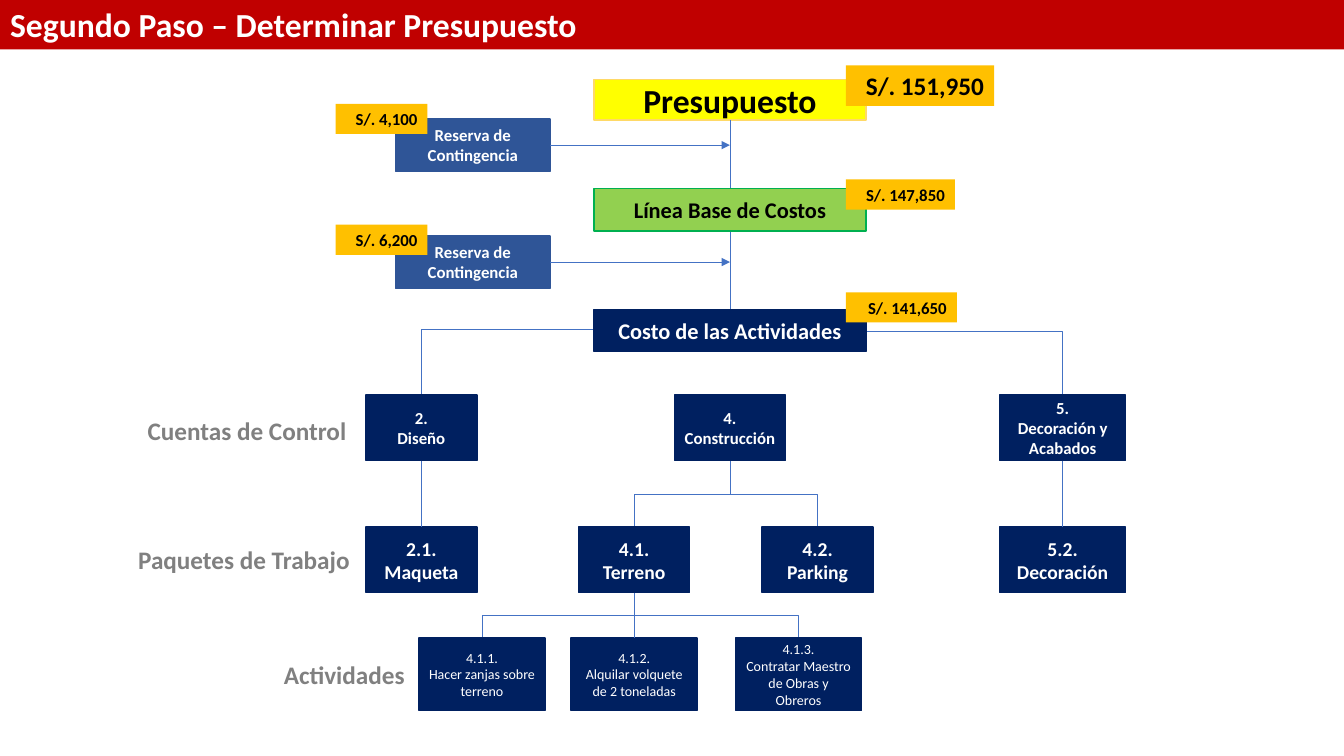
from lxml import etree
from pptx import Presentation
from pptx.dml.color import RGBColor
from pptx.enum.shapes import MSO_CONNECTOR, MSO_SHAPE
from pptx.enum.text import MSO_ANCHOR, MSO_AUTO_SIZE, PP_ALIGN
from pptx.oxml.ns import qn
from pptx.util import Inches, Pt

RECT = MSO_SHAPE.RECTANGLE
STRAIGHT, ELBOW = MSO_CONNECTOR.STRAIGHT, MSO_CONNECTOR.ELBOW
LEFT, CENTER, RIGHT = PP_ALIGN.LEFT, PP_ALIGN.CENTER, PP_ALIGN.RIGHT
TOP, MIDDLE = MSO_ANCHOR.TOP, MSO_ANCHOR.MIDDLE
SIDE_TOP, SIDE_BOTTOM, SIDE_RIGHT = 0, 2, 3

SLIDE_W, SLIDE_H = 13.33, 7.5
AXIS = 7.24  # centre of the budget column

THEME = {
    "font": "Calibri", "link": "4472C4", "title": "C00000", "tag": "FFC000",
    "label": "808080", "white": "FFFFFF", "black": "000000",
    "title_size": 24, "label_size": 18,
}
# style: fill, line, text colour, size, bold
STYLES = {
    "budget": ("FFFF00", "FFD966", "black", 24, True),
    "baseline": ("92D050", "00B050", "black", 16, True),
    "cost": ("002060", "002060", "white", 16, True),
    "reserve": ("2F5597", "2F5597", "white", 12, True),
    "account": ("002060", "002060", "white", 12, True),
    "package": ("002060", "002060", "white", 14, True),
    "activity": ("002060", "002060", "white", 10, False),
}
# style: top of the row, height
ROWS = {"account": (3.92, 0.65), "package": (5.23, 0.65), "activity": (6.33, 0.72)}

TITLE = "Segundo Paso – Determinar Presupuesto"
# key: text, style, centre x, width
TREE = {
    "2": ("2.\nDiseño", "account", 4.18, 1.1),
    "4": ("4.\nConstrucción", "account", AXIS, 1.1),
    "5": ("5.\nDecoración y Acabados", "account", 10.54, 1.25),
    "2.1": ("2.1.\nMaqueta", "package", 4.18, 1.1),
    "4.1": ("4.1.\nTerreno", "package", 6.29, 1.1),
    "4.2": ("4.2.\nParking", "package", 8.11, 1.1),
    "5.2": ("5.2.\nDecoración", "package", 10.54, 1.25),
    "4.1.1": ("4.1.1.\nHacer zanjas sobre terreno", "activity", 4.78, 1.25),
    "4.1.2": ("4.1.2.\nAlquilar volquete de 2 toneladas", "activity", 6.29, 1.25),
    "4.1.3": ("4.1.3.\nContratar Maestro de Obras y Obreros", "activity", 7.92, 1.25),
}
# key: text, style, centre x, top, width, height
TOTALS = {
    "budget": ("Presupuesto", "budget", AXIS, 0.79, 2.7, 0.4),
    "baseline": ("Línea Base de Costos", "baseline", AXIS, 1.87, 2.7, 0.42),
    "cost": ("Costo de las Actividades", "cost", AXIS, 3.07, 2.7, 0.42),
    "reserve 1": ("Reserva de Contingencia", "reserve", 4.69, 1.18, 1.53, 0.52),
    "reserve 2": ("Reserva de Contingencia", "reserve", 4.69, 2.34, 1.53, 0.52),
}
BOXES = {**TOTALS, **{key: (text, style, cx, ROWS[style][0], w, ROWS[style][1])
                      for key, (text, style, cx, w) in TREE.items()}}
# parent, child, share of the height where the elbow turns
ELBOWS = [("baseline", "2", 0.6), ("baseline", "5", 0.61),
          ("4", "4.1", 0.5), ("4", "4.2", 0.5),
          ("4.1", "4.1.1", 0.5), ("4.1", "4.1.3", 0.5)]
STEMS = [("budget", "baseline"), ("2", "2.1"), ("5", "5.2"), ("4.1", "4.1.2")]
RESERVES = ["reserve 1", "reserve 2"]
# amount, left, top, width, height, size
TAGS = [
    ("S/. 151,950", 8.39, 0.65, 1.47, 0.4, 18),
    ("S/. 147,850", 8.39, 1.78, 1.08, 0.3, 12),
    ("S/. 141,650", 8.39, 2.9, 1.1, 0.3, 12),
    ("S/. 4,100", 3.33, 1.03, 0.91, 0.3, 12),
    ("S/. 6,200", 3.33, 2.23, 0.91, 0.3, 12),
]
# text, left, top, width
LABELS = [("Cuentas de Control", 1.26, 4.07, 2.38),
          ("Paquetes de Trabajo", 1.23, 5.35, 2.38),
          ("Actividades", 2.51, 6.49, 1.81)]


def rgb(value):
    return RGBColor.from_string(THEME.get(value, value))


def write(sp, text, size, color, bold=True, align=CENTER, anchor=MIDDLE):
    tf = sp.text_frame
    tf.text = text
    tf.word_wrap = True
    tf.auto_size = MSO_AUTO_SIZE.NONE
    tf.vertical_anchor = anchor
    for p in tf.paragraphs:
        p.alignment = align
        for r in p.runs:
            r.font.name, r.font.size, r.font.bold = THEME["font"], Pt(size), bold
            r.font.color.rgb = rgb(color)


def place(sp, *box):
    sp.left, sp.top, sp.width, sp.height = map(Inches, box)


def add_rect(s, box, fill, line=None):
    sp = s.shapes.add_shape(RECT, *map(Inches, box))
    sp.shadow.inherit = False
    sp.fill.solid()
    sp.fill.fore_color.rgb = rgb(fill)
    if line:
        sp.line.color.rgb = rgb(line)
        sp.line.width = Pt(1)
    else:
        sp.line.fill.background()
    return sp


def add_link(s, kind, x1, y1, x2, y2):
    link = s.shapes.add_connector(kind, *map(Inches, (x1, y1, x2, y2)))
    link.line.color.rgb = rgb("link")
    link.line.width = Pt(0.5)
    etree.SubElement(link._element.spPr, qn("a:effectLst"))
    return link


def add_elbow(s, parent, child, turn):
    """Draw a down-across-down connector: a turned elbow around its own centre."""
    _, _, x1, top, _, h = BOXES[parent]
    _, _, x2, y2, _, _ = BOXES[child]
    y1 = top + h
    drop, run = y2 - y1, abs(x2 - x1)
    left, up = (x1 + x2 - drop) / 2, (y1 + y2 - run) / 2
    link = add_link(s, ELBOW, left, up, left + drop, up + run)
    pr = link._element.spPr
    xfrm = pr.find(qn("a:xfrm"))
    xfrm.set("rot", str((90 if x2 < x1 else 270) * 60000))
    if x2 > x1:
        xfrm.set("flipH", "1")
    guides = pr.find(qn("a:prstGeom")).find(qn("a:avLst"))
    etree.SubElement(guides, qn("a:gd"), name="adj1", fmla=f"val {round(turn * 100000)}")


def add_arrow(s, sp):
    y = (sp.top + sp.height / 2) / Inches(1)
    link = add_link(s, STRAIGHT, (sp.left + sp.width) / Inches(1), y, AXIS, y)
    link.begin_connect(sp, SIDE_RIGHT)
    etree.SubElement(link.line._get_or_add_ln(), qn("a:tailEnd"), type="triangle")


def main():
    prs = Presentation()
    prs.slide_width, prs.slide_height = Inches(SLIDE_W), Inches(SLIDE_H)
    s = prs.slides.add_slide(prs.slide_layouts[5])

    title = s.shapes.title
    place(title, 0, -0.01, SLIDE_W, 0.5)
    title.fill.solid()
    title.fill.fore_color.rgb = rgb("title")
    write(title, TITLE, THEME["title_size"], "white", align=LEFT, anchor=TOP)

    for elbow in ELBOWS:
        add_elbow(s, *elbow)

    shapes = {}
    for key, (text, style, cx, top, w, h) in BOXES.items():
        fill, line, color, size, bold = STYLES[style]
        shapes[key] = add_rect(s, (cx - w / 2, top, w, h), fill, line)
        write(shapes[key], text, size, color, bold)

    for parent, child in STEMS:
        link = add_link(s, STRAIGHT, 0, 0, 1, 1)
        link.begin_connect(shapes[parent], SIDE_BOTTOM)
        link.end_connect(shapes[child], SIDE_TOP)
    for key in RESERVES:
        add_arrow(s, shapes[key])

    for text, left, top, w, h, size in TAGS:
        tag = add_rect(s, (left, top, w, h), "tag")
        write(tag, text, size, "black", align=RIGHT, anchor=TOP)
    for text, left, top, w in LABELS:
        label = s.shapes.add_textbox(*map(Inches, (left, top, w, 0.4)))
        write(label, text, THEME["label_size"], "label", anchor=TOP)

    prs.save("out.pptx")


if __name__ == "__main__":
    main()
